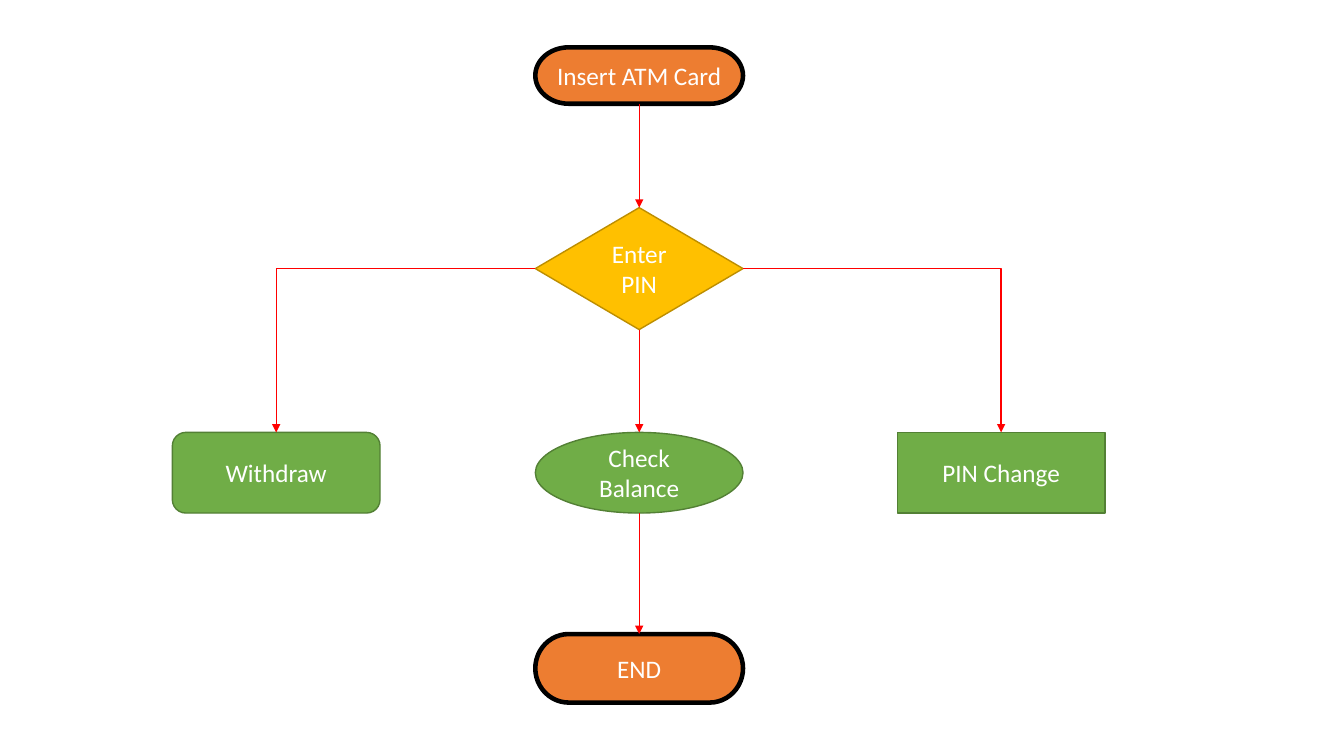
import dataclasses
import typing

import pptx
import pptx.dml.color
import pptx.enum.shapes
import pptx.enum.text
import pptx.oxml
import pptx.oxml.ns
import pptx.shapes.autoshape
import pptx.shapes.connector
import pptx.util

Inches = pptx.util.Inches
RGBColor = pptx.dml.color.RGBColor
Kind = pptx.enum.shapes.MSO_SHAPE
Route = pptx.enum.shapes.MSO_CONNECTOR
qn = pptx.oxml.ns.qn

ORANGE = RGBColor(0xED, 0x7D, 0x31)
GREEN = RGBColor(0x70, 0xAD, 0x47)
MOSS = RGBColor(0x53, 0x80, 0x35)
GOLD = RGBColor(0xFF, 0xC0, 0x00)
BRONZE = RGBColor(0xBD, 0x8E, 0x00)
BLACK = RGBColor(0x00, 0x00, 0x00)
WHITE = RGBColor(0xFF, 0xFF, 0xFF)
RED = RGBColor(0xFF, 0x00, 0x00)

FONT = {"name": "Calibri", "size": pptx.util.Pt(18)}
FRAME = {"word_wrap": True, "vertical_anchor": pptx.enum.text.MSO_ANCHOR.MIDDLE}

WIDE = 2.06
LEFT, MID, RIGHT = 1.71, 5.31, 8.9
TOP, WEST, BASE, EAST = range(4)
OVAL_BASE = 4


@dataclasses.dataclass
class Style:
    fill: RGBColor
    edge: RGBColor
    weight: float


@dataclasses.dataclass
class Step:
    text: str
    kind: Kind
    left: float
    top: float
    height: float
    style: Style


@dataclasses.dataclass
class Link:
    start: str
    side: int
    end: str


LIMIT = Style(ORANGE, BLACK, 3.25)
CHOICE = Style(GOLD, BRONZE, 1)
TASK = Style(GREEN, MOSS, 1)

STEPS = [
    Step("Insert ATM Card", Kind.FLOWCHART_TERMINATOR, MID, 0.47, 0.56, LIMIT),
    Step("Enter PIN", Kind.DIAMOND, MID, 2.06, 1.21, CHOICE),
    Step("Withdraw", Kind.ROUNDED_RECTANGLE, LEFT, 4.29, 0.8, TASK),
    Step("Check Balance", Kind.OVAL, MID, 4.29, 0.8, TASK),
    Step("PIN Change", Kind.FLOWCHART_PROCESS, RIGHT, 4.29, 0.8, TASK),
    Step("END", Kind.FLOWCHART_TERMINATOR, MID, 6.29, 0.68, LIMIT),
]

LINKS = [
    Link("Insert ATM Card", BASE, "Enter PIN"),
    Link("Enter PIN", BASE, "Check Balance"),
    Link("Enter PIN", EAST, "PIN Change"),
    Link("Enter PIN", WEST, "Withdraw"),
    Link("Check Balance", BASE, "END"),
]


def apply(target: typing.Any, values: dict[str, typing.Any]) -> None:
    for key, value in values.items():
        setattr(target, key, value)


def draw_step(shapes: typing.Any, step: Step) -> pptx.shapes.autoshape.Shape:
    box = shapes.add_shape(
        step.kind, Inches(step.left), Inches(step.top), Inches(WIDE), Inches(step.height)
    )
    box.shadow.inherit = False
    box.fill.solid()
    box.fill.fore_color.rgb = step.style.fill
    box.line.color.rgb = step.style.edge
    box.line.width = pptx.util.Pt(step.style.weight)
    apply(box.text_frame, FRAME)
    para = box.text_frame.paragraphs[0]
    para.alignment = pptx.enum.text.PP_ALIGN.CENTER
    run = para.add_run()
    run.text = step.text
    apply(run.font, FONT)
    run.font.color.rgb = WHITE
    return box


def draw_link(
    shapes: typing.Any, boxes: dict[str, pptx.shapes.autoshape.Shape], link: Link
) -> pptx.shapes.connector.Connector:
    start, end = boxes[link.start], boxes[link.end]
    bent = link.side in (WEST, EAST)
    line = shapes.add_connector(Route.ELBOW if bent else Route.STRAIGHT, 0, 0, 0, 0)
    line.begin_connect(start, link.side)
    line.end_connect(end, TOP)
    line.line.color.rgb = RED
    line.line.width = pptx.util.Pt(1)
    props = line.element.spPr
    if bent:
        props.find(qn("a:prstGeom")).set("prst", "bentConnector2")
    if start.auto_shape_type == Kind.OVAL:
        line.element.find(".//" + qn("a:stCxn")).set("idx", str(OVAL_BASE))
    tip = pptx.oxml.parse_xml(f'<a:tailEnd {pptx.oxml.ns.nsdecls("a")} type="triangle"/>')
    props.find(qn("a:ln")).append(tip)
    props.append(pptx.oxml.parse_xml(f'<a:effectLst {pptx.oxml.ns.nsdecls("a")}/>'))
    return line


def main() -> None:
    deck = pptx.Presentation()
    apply(deck, {"slide_width": Inches(13.33), "slide_height": Inches(7.5)})
    shapes = deck.slides.add_slide(deck.slide_layouts[6]).shapes
    boxes = {step.text: draw_step(shapes, step) for step in STEPS}
    for link in LINKS:
        draw_link(shapes, boxes, link)
    deck.save("out.pptx")


if __name__ == "__main__":
    main()
